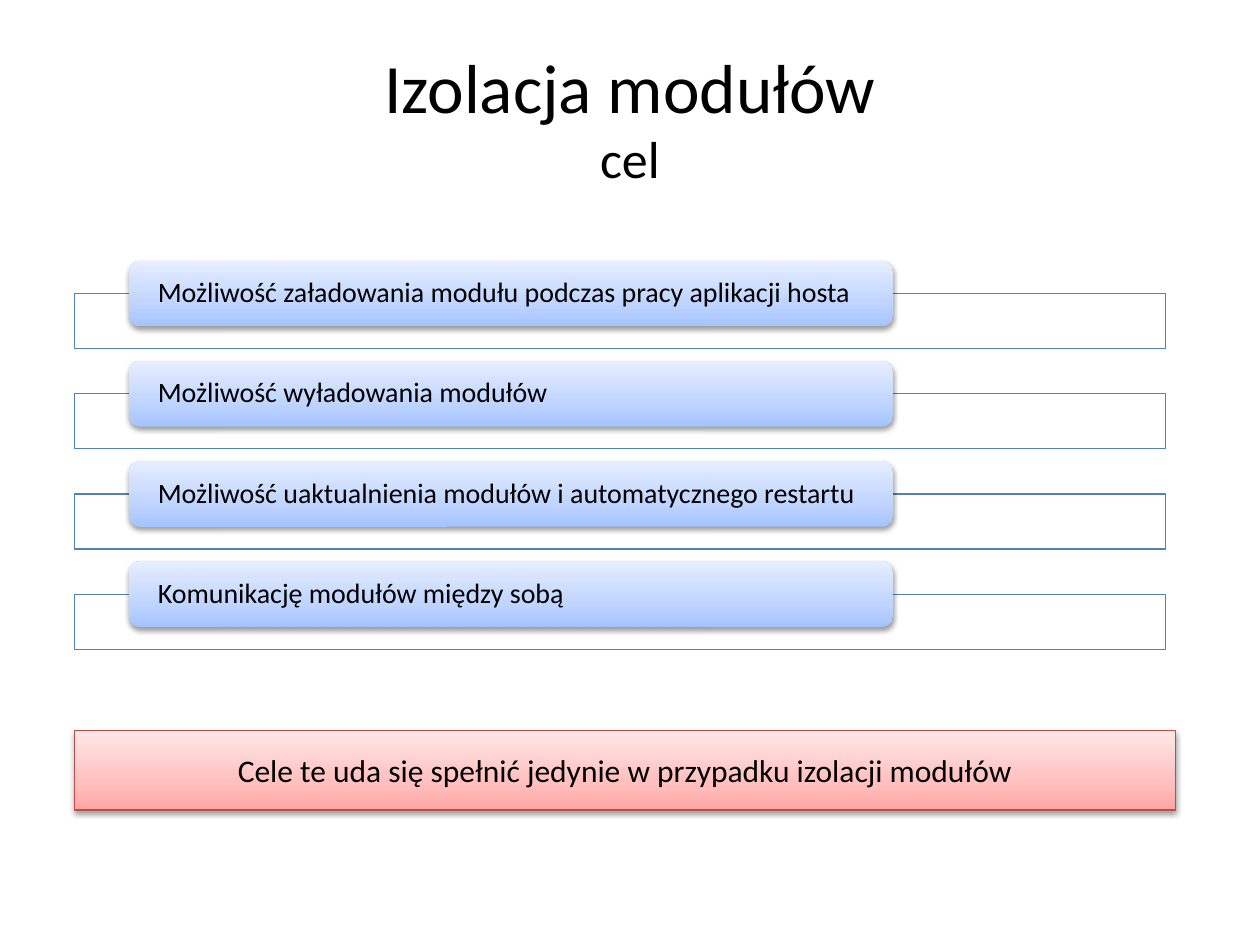
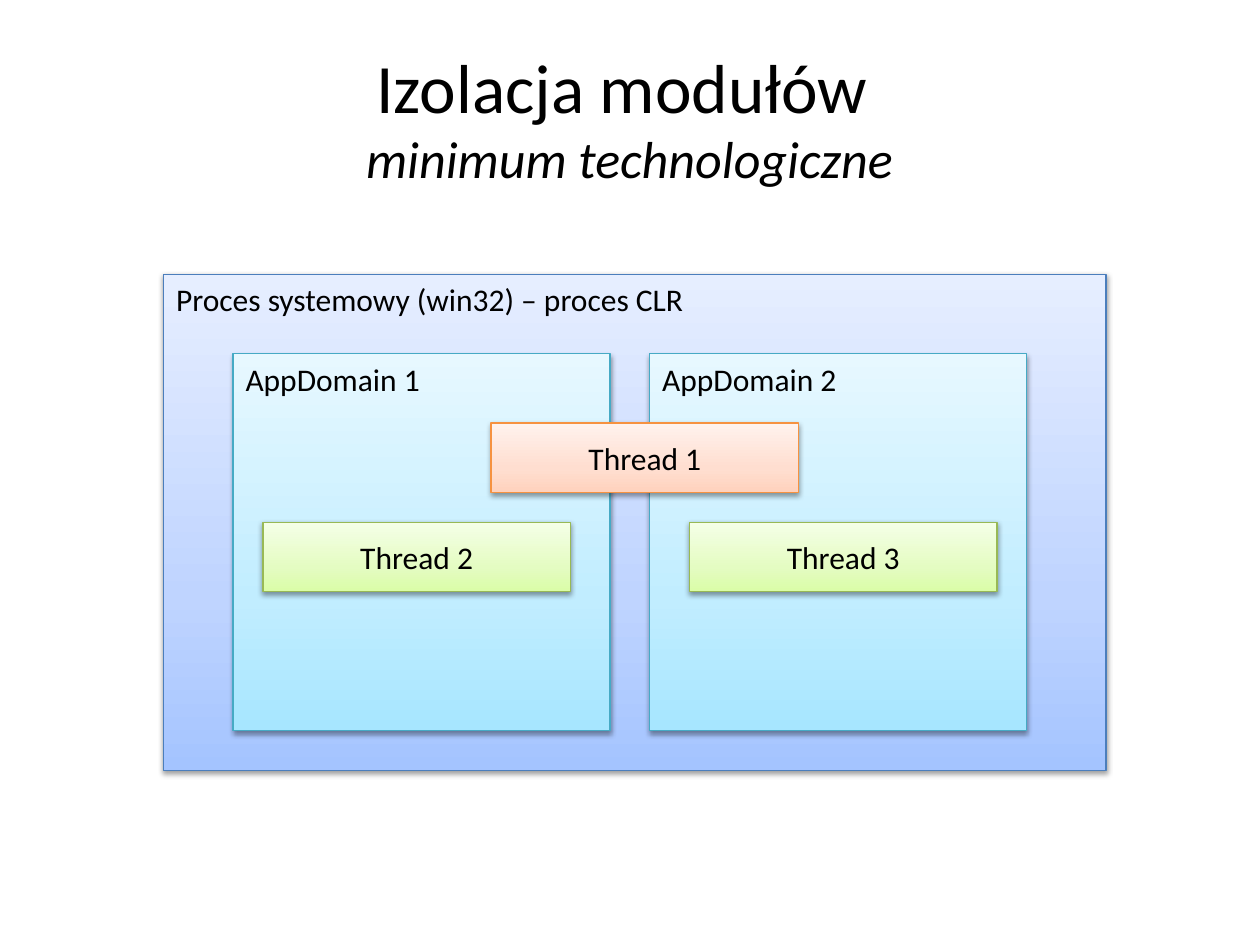
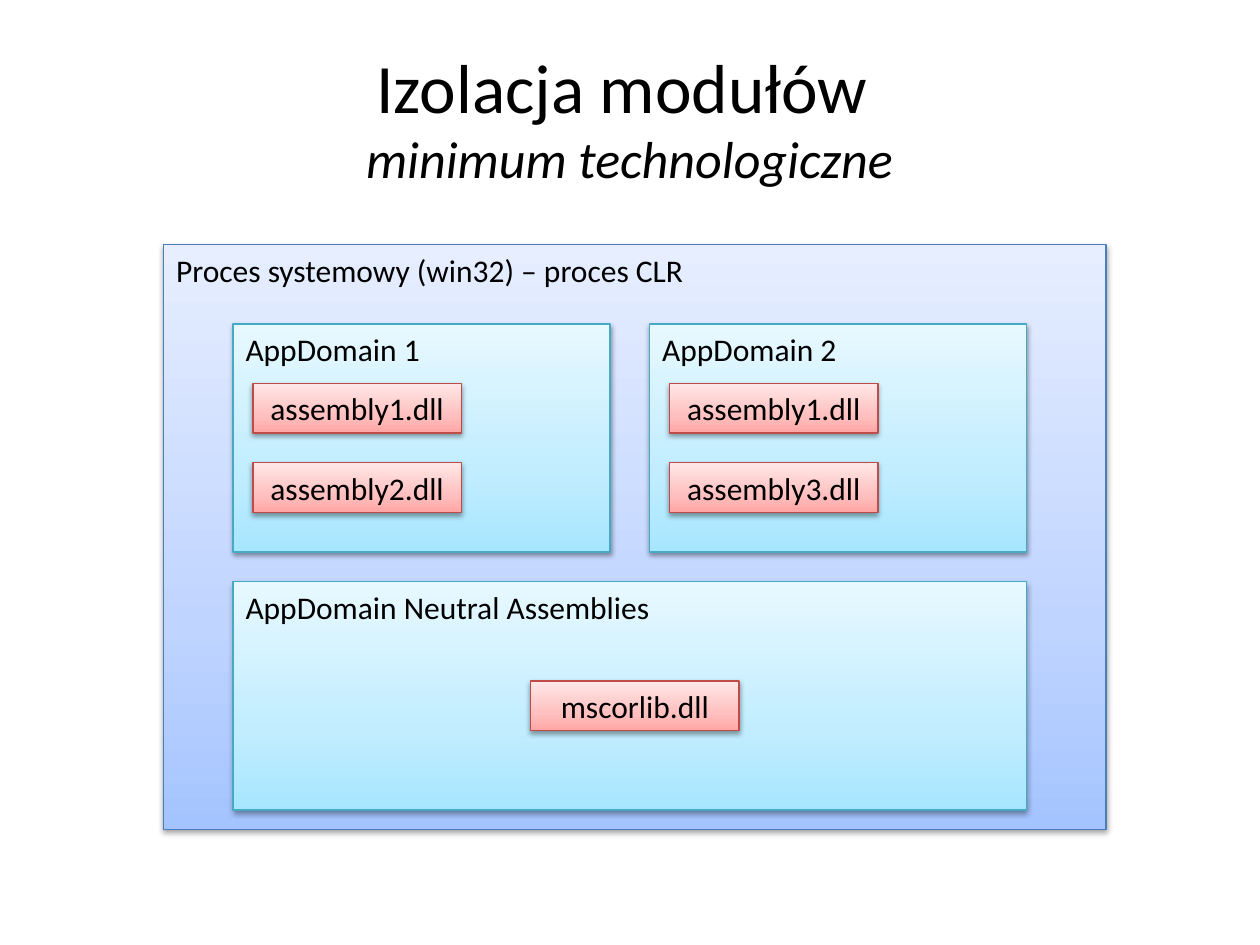
import copy
import pptx
import pptx.util
import pptx.dml.color
import pptx.enum.shapes
import pptx.enum.text
import pptx.oxml
import pptx.oxml.ns

Cm = pptx.util.Cm
Pt = pptx.util.Pt
RGB = pptx.dml.color.RGBColor.from_string
Kind = pptx.enum.shapes.MSO_SHAPE
Align = pptx.enum.text.PP_ALIGN
Anchor = pptx.enum.text.MSO_ANCHOR
qn = pptx.oxml.ns.qn

FONT = "Calibri"
COLORS = {
    "text": "000000", "white": "FFFFFF", "frame": "4F81BD",
    "blue low": "A4C4FF", "blue mid": "BFD4FF", "blue top": "E6EEFF", "blue line": "4B7EBC",
    "aqua low": "A7E6FF", "aqua mid": "C1EDFF", "aqua top": "E7F8FF", "aqua line": "46AAC5",
    "red low": "FFA6A5", "red mid": "FFC0BF", "red top": "FFE7E7", "red line": "BF4C48",
    "green low": "DAFDA7", "green mid": "E4FCC2", "green top": "F5FFE7", "green line": "98B955",
    "orange low": "FFD2BD", "orange mid": "FFDED0", "orange top": "FFF2ED", "orange line": "F69240",
}
SHADOW = (
    '<a:outerShdw xmlns:a="http://schemas.openxmlformats.org/drawingml/2006/main" '
    'blurRad="39370" dist="20320" dir="5400000" rotWithShape="0">'
    '<a:srgbClr val="000000"><a:alpha val="38000"/></a:srgbClr></a:outerShdw>'
)
GOALS = [
    "Możliwość załadowania modułu podczas pracy aplikacji hosta",
    "Możliwość wyładowania modułów",
    "Możliwość uaktualnienia modułów i automatycznego restartu",
    "Komunikację modułów między sobą",
]
PROCESS = "Proces systemowy (win32) – proces CLR"
DOMAINS = [4.7, 13.1]
SIDE = 7.6


def style(run, size, italic=None):
    run.font.name = FONT
    run.font.size = Pt(size)
    run.font.italic = italic
    run.font.color.rgb = RGB(COLORS["text"])


def add_title(slide, main, sub, italic=None):
    box = slide.shapes.add_textbox(Cm(1.27), Cm(0.76), Cm(22.86), Cm(3.18))
    frame = box.text_frame
    frame.word_wrap = True
    frame.vertical_anchor = Anchor.MIDDLE
    para = frame.paragraphs[0]
    para.text = main + "\v" + sub
    para.alignment = Align.CENTER
    style(para.runs[0], 39.6)
    style(para.runs[1], 29.7, italic)


def shade(shape, tone):
    shape.fill.gradient()
    stops = shape._element.spPr.find(qn("a:gradFill")).find(qn("a:gsLst"))
    stops.append(copy.deepcopy(stops[0]))
    shape.fill.gradient_angle = 90
    parts = [("low", 0), ("mid", 0.35), ("top", 1)]
    for stop, (part, place) in zip(shape.fill.gradient_stops, parts):
        stop.color.rgb = RGB(COLORS[f"{tone} {part}"])
        stop.position = place
    shape.shadow.inherit = False
    effects = shape._element.spPr.find(qn("a:effectLst"))
    effects.append(pptx.oxml.parse_xml(SHADOW))


def outline(shape, color):
    shape.line.color.rgb = RGB(COLORS[color])
    shape.line.width = Pt(0.75)


def add_shape(slide, kind, left, top, width, height):
    return slide.shapes.add_shape(kind, Cm(left), Cm(top), Cm(width), Cm(height))


def write(shape, text, size, align, anchor):
    frame = shape.text_frame
    frame.word_wrap = True
    frame.vertical_anchor = anchor
    para = frame.paragraphs[0]
    para.text = text
    para.alignment = align
    style(para.runs[0], size)


def add_box(slide, text, tone, left, top, width, height):
    box = add_shape(slide, Kind.RECTANGLE, left, top, width, height)
    shade(box, tone)
    outline(box, f"{tone} line")
    write(box, text, 18, Align.CENTER, Anchor.MIDDLE)
    return box


def add_panel(slide, text, tone, left, top, width, height):
    panel = add_box(slide, text, tone, left, top, width, height)
    panel.text_frame.vertical_anchor = Anchor.TOP
    panel.text_frame.paragraphs[0].alignment = Align.LEFT


def add_goal(slide, text, top):
    frame = add_shape(slide, Kind.RECTANGLE, 1.5, top + 0.66, 22, 1.11)
    frame.shadow.inherit = False
    frame.fill.solid()
    frame.fill.fore_color.rgb = RGB(COLORS["white"])
    outline(frame, "frame")
    label = add_shape(slide, Kind.ROUNDED_RECTANGLE, 2.6, top, 15.4, 1.32)
    shade(label, "blue")
    label.line.fill.background()
    write(label, text, 16, Align.LEFT, Anchor.MIDDLE)
    label.text_frame.paragraphs[0].line_spacing = 0.9
    label.text_frame.margin_left = label.text_frame.margin_right = Cm(0.52)
    label.text_frame.margin_top = label.text_frame.margin_bottom = 0


def add_domains(slide, top, height):
    add_panel(slide, PROCESS, "blue", 3.3, top, 19, height[0])
    for count, left in enumerate(DOMAINS, 1):
        add_panel(slide, f"AppDomain {count}", "aqua", left, top + 1.6, SIDE, height[1])


def add_file(slide, name, left, top):
    add_box(slide, name, "red", left, top, 4.2, 1)


def add_thread(slide, count, tone, left, top):
    add_box(slide, f"Thread {count}", tone, left, top, 6.2, 1.4)


def draw_goals(slide):
    add_title(slide, "Izolacja modułów", "cel")
    for row, goal in enumerate(GOALS):
        add_goal(slide, goal, 5.26 + row * 2.02)
    add_box(slide, "Cele te uda się spełnić jedynie w przypadku izolacji modułów",
            "red", 1.5, 14.73, 22.2, 1.6)


def draw_threads(slide):
    add_title(slide, "Izolacja modułów ", "minimum technologiczne", True)
    add_domains(slide, 5.53, (10, SIDE))
    add_thread(slide, 1, "orange", 9.9, 8.53)
    add_thread(slide, 2, "green", 5.3, 10.53)
    add_thread(slide, 3, "green", 13.9, 10.53)


def draw_files(slide):
    add_title(slide, "Izolacja modułów ", "minimum technologiczne", True)
    add_domains(slide, 4.93, (11.8, 4.6))
    add_panel(slide, "AppDomain Neutral Assemblies", "aqua", DOMAINS[0], 11.73, 16, 4.6)
    for left, last in zip(DOMAINS, (2, 3)):
        for row, number in enumerate((1, last)):
            add_file(slide, f"assembly{number}.dll", left + 0.4, 7.73 + row * 1.6)
    add_file(slide, "mscorlib.dll", 10.7, 13.73)


def main():
    deck = pptx.Presentation()
    deck.slide_width, deck.slide_height = Cm(25.4), Cm(19.05)
    for draw in (draw_goals, draw_threads, draw_files):
        draw(deck.slides.add_slide(deck.slide_layouts[6]))
    deck.save("out.pptx")


main()
